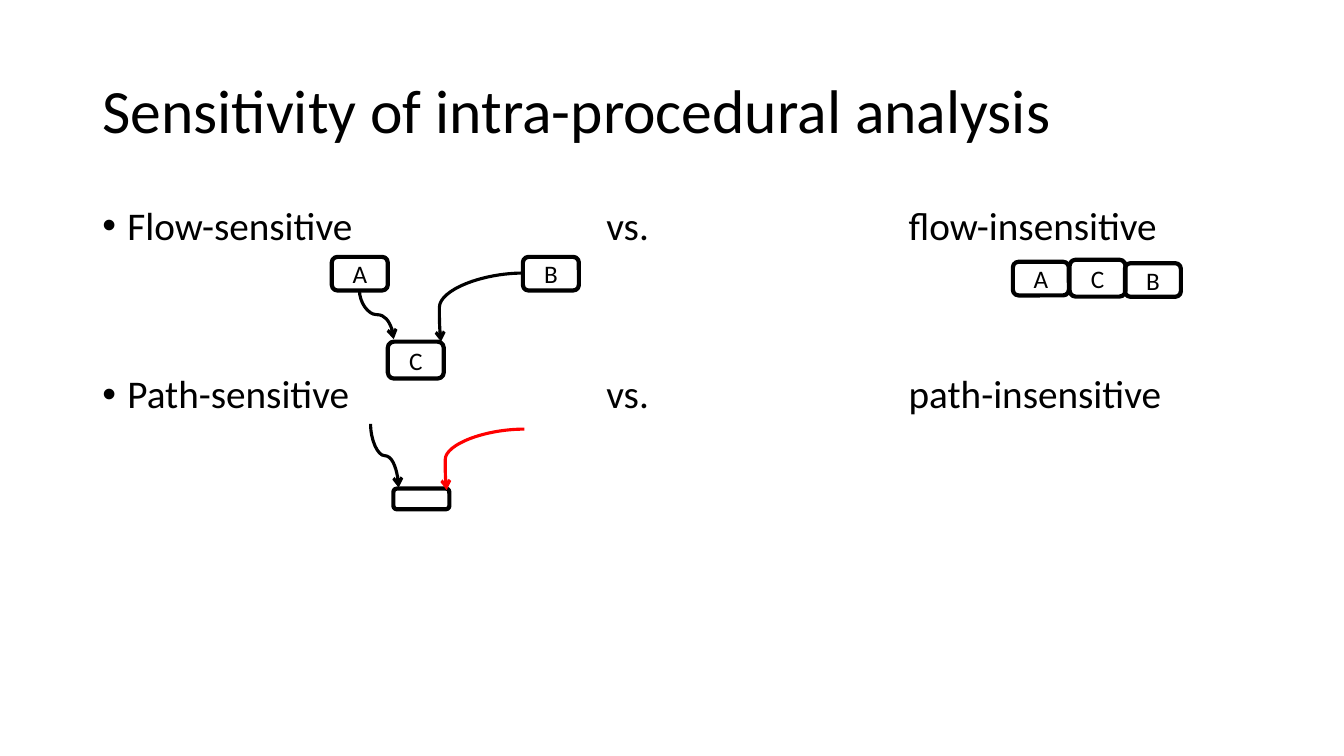
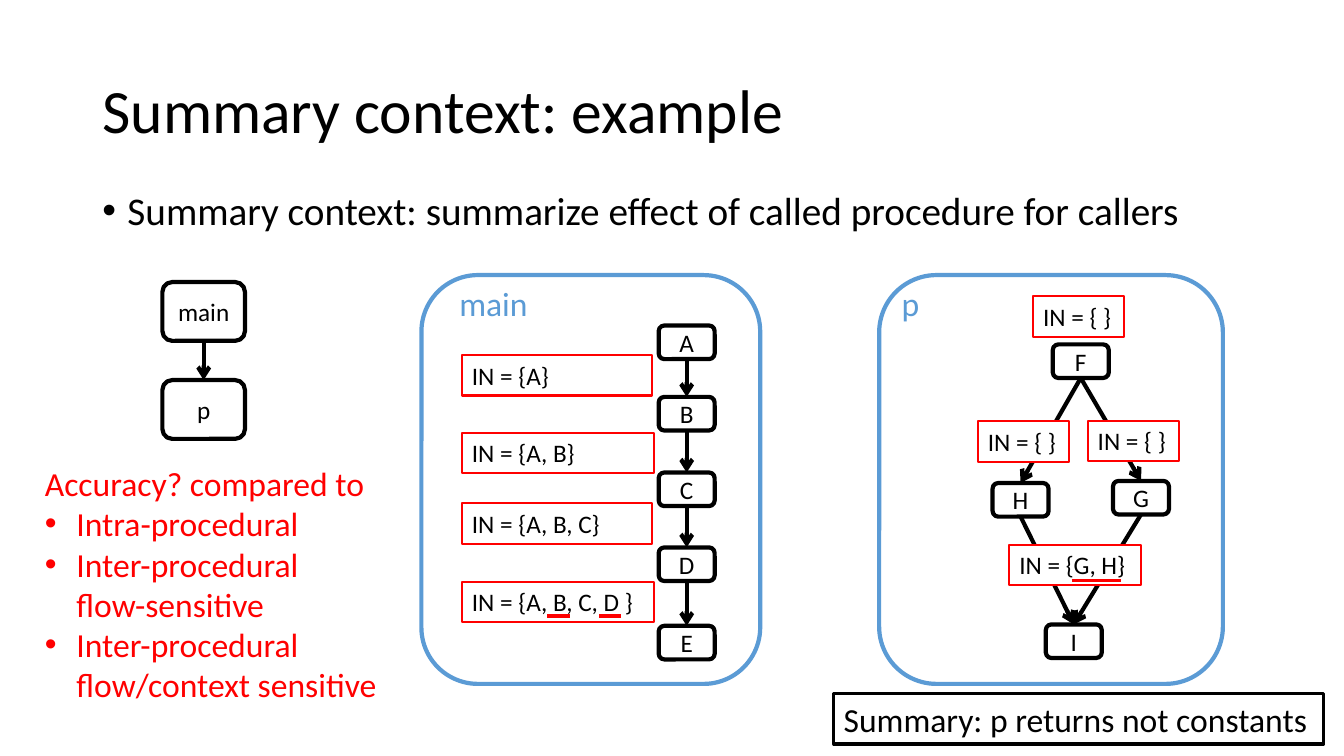
"""Build two slides on the sensitivity and the context of program analyses."""
from dataclasses import dataclass

from pptx import Presentation
from pptx.dml.color import RGBColor
from pptx.enum import shapes, text
from pptx.oxml import parse_xml
from pptx.oxml.ns import nsdecls, qn
from pptx.oxml.xmlchemy import OxmlElement
from pptx.util import Pt


@dataclass(frozen=True)
class Theme:
    font: str = "Calibri"
    black: RGBColor = RGBColor(0x00, 0x00, 0x00)
    white: RGBColor = RGBColor(0xFF, 0xFF, 0xFF)
    red: RGBColor = RGBColor(0xFF, 0x00, 0x00)
    blue: RGBColor = RGBColor(0x5B, 0x9B, 0xD5)
    title: int = 44
    body: int = 28
    note: int = 24
    label: int = 18


theme = Theme()
ROUNDED = shapes.MSO_SHAPE.ROUNDED_RECTANGLE
RECTANGLE = shapes.MSO_SHAPE.RECTANGLE
STRAIGHT = shapes.MSO_CONNECTOR.STRAIGHT
CURVE = shapes.MSO_CONNECTOR.CURVE
CENTER, LEFT = text.PP_ALIGN.CENTER, text.PP_ALIGN.LEFT
MIDDLE, TOP = text.MSO_ANCHOR.MIDDLE, text.MSO_ANCHOR.TOP


def add_text(slide, content, box, *, preset=None, fill=None, line=None, weight=3,
             size=theme.label, color=theme.black, align=LEFT, anchor=TOP, wrap=True,
             padding=3.6, bullets_from=None, hang=18, spacing=1.0, gap=0, tabs=()):
    """Add a text box or preset shape, with one paragraph per line of content."""
    place = [Pt(value) for value in box]
    if preset is None:
        shape = slide.shapes.add_textbox(*place)
    else:
        shape = slide.shapes.add_shape(preset, *place)
        shape.shadow.inherit = False
        shape.line.color.rgb = line
        shape.line.width = Pt(weight)
        if fill is None:
            shape.fill.background()
        else:
            shape.fill.solid()
            shape.fill.fore_color.rgb = fill
    frame = shape.text_frame
    frame.word_wrap = wrap
    frame.vertical_anchor = anchor
    frame.margin_top = frame.margin_bottom = Pt(padding)
    for index, words in enumerate(content.split("\n")):
        paragraph = frame.paragraphs[0] if index == 0 else frame.add_paragraph()
        paragraph.text = words
        paragraph.alignment = align
        paragraph.line_spacing = spacing
        paragraph.space_before = Pt(gap if index else 0)
        properties = paragraph._p.get_or_add_pPr()
        if bullets_from is not None and index >= bullets_from:
            properties.set("marL", str(Pt(hang)))
            properties.set("indent", str(-Pt(hang)))
            for tag, name, value in (("a:buFont", "typeface", "Arial"), ("a:buChar", "char", "•")):
                bullet = OxmlElement(tag)
                bullet.set(name, value)
                properties.append(bullet)
        if tabs:
            tab_list = OxmlElement("a:tabLst")
            for position in tabs:
                tab = OxmlElement("a:tab")
                tab.set("pos", str(Pt(position)))
                tab.set("algn", "l")
                tab_list.append(tab)
            properties.append(tab_list)
        for run in paragraph.runs:
            run.font.name = theme.font
            run.font.size = Pt(size)
            run.font.color.rgb = color
    return shape


def add_line(slide, begin, end, *, kind=STRAIGHT, color=theme.black, weight=3.0,
             arrow=True, turn=0, bend=None):
    """Add a connector between two points, or from one shape's bottom to another's top."""
    joined = not isinstance(begin, tuple)
    points = (0, 0, 0, 0) if joined else (*begin, *end)
    connector = slide.shapes.add_connector(kind, *[Pt(value) for value in points])
    if joined:
        connector.begin_connect(begin, 2)
        connector.end_connect(end, 0)
    connector.line.color.rgb = color
    connector.line.width = Pt(weight)
    properties = connector._element.spPr
    if arrow:
        head = OxmlElement("a:tailEnd")
        head.set("type", "arrow")
        connector.line._get_or_add_ln().append(head)
    if turn:
        properties.xfrm.set("rot", str(turn * 60000))
    if bend:
        guides = parse_xml(f'<a:avLst {nsdecls("a")}><a:gd name="adj1" fmla="val {bend}"/></a:avLst>')
        geometry = properties.find(qn("a:prstGeom"))
        for old in geometry.findall(qn("a:avLst")):
            geometry.remove(old)
        geometry.append(guides)
    properties.append(OxmlElement("a:effectLst"))


presentation = Presentation()
presentation.slide_width, presentation.slide_height = Pt(960), Pt(540)
title_only = presentation.slide_layouts[5]

slides = []
for heading in ("Sensitivity of intra-procedural analysis", "Summary context: example"):
    slide = presentation.slides.add_slide(title_only)
    title = slide.shapes.title
    title.left, title.top, title.width, title.height = Pt(66), Pt(28.8), Pt(828), Pt(104.4)
    title.text_frame.text = heading
    title.text_frame.vertical_anchor = MIDDLE
    paragraph = title.text_frame.paragraphs[0]
    paragraph.alignment = LEFT
    paragraph.line_spacing = 0.9
    font = paragraph.runs[0].font
    font.name, font.size, font.color.rgb = theme.font, Pt(theme.title), theme.black
    slides.append(slide)
sensitivity, summary = slides

node = dict(preset=ROUNDED, line=theme.black, align=CENTER, anchor=MIDDLE, padding=0)
body = dict(size=theme.body, bullets_from=0, spacing=0.9)
NODE_WIDTH, NODE_HEIGHT = 40, 24

add_text(sensitivity, "Flow-sensitive\tvs.\tflow-insensitive\nPath-sensitive\tvs.\tpath-insensitive",
         (66, 144, 828, 342.7), gap=90, tabs=(360, 576), **body)
for name, left, top, height in (
    ("C", 277, 244, 26.4), ("", 281, 349, 14.8),
    ("A", 237, 183.5, NODE_HEIGHT), ("B", 373.5, 183.5, NODE_HEIGHT),
    ("C", 764, 185.5, 26.4), ("A", 723.5, 187, NODE_HEIGHT), ("B", 803.5, 188, NODE_HEIGHT),
):
    add_text(sensitivity, name, (left, top, NODE_WIDTH, height), **node)
for begin, end, turn, bend, color in (
    ((286.5, 212.5), (251.5, 237), 270, None, theme.black),
    ((315, 244), (374, 195), 180, 102000, theme.black),
    ((297.5, 315.5), (252, 335.5), 270, None, theme.black),
    ((319, 350), (374.5, 306.5), 180, 101800, theme.red),
):
    add_line(sensitivity, begin, end, kind=CURVE, color=color, weight=2.25, turn=turn, bend=bend)

add_text(summary, "Summary context: summarize effect of called procedure for callers",
         (66, 133.2, 828, 49.7), **body)

for name, left, width, label_left in (("main", 301, 242, 321), ("p", 628, 245.5, 637)):
    add_text(summary, "", (left, 196.5, width, 292), preset=ROUNDED, line=theme.blue)
    add_text(summary, name, (label_left, 198.5, 70, 36), size=theme.note, color=theme.blue)

nodes = {}
for name, left, top in (
    ("A", 470.5, 232.5), ("B", 470.5, 283.5), ("C", 470.5, 337.5), ("D", 470.5, 391),
    ("E", 470.5, 447), ("F", 752, 246), ("G", 795, 343.5), ("H", 709, 345), ("I", 747, 446),
):
    nodes[name] = add_text(summary, name, (left, top, NODE_WIDTH, NODE_HEIGHT), **node)
for name, top in (("main", 201.5), ("p", 271.5)):
    nodes[name] = add_text(summary, name, (116, top, 59, 42), **node)
for begin, end in ("AB", "BC", "CD", "DE", "FG", "FH", "HI", "GI", ("main", "p")):
    add_line(summary, nodes[begin], nodes[end])

for content, left, top, width in (
    ("IN = {A}", 330, 253.5, 136), ("IN = {A, B}", 330, 309, 137),
    ("IN = {A, B, C}", 330, 359.5, 136), ("IN = {A, B, C, D }", 330, 415.5, 137),
    ("IN = { }", 738, 211.5, 65), ("IN = { }", 698.5, 301, 65),
    ("IN = { }", 777, 300.5, 65), ("IN = {G, H}", 721, 389, 94),
):
    add_text(summary, content, (left, top, width, 29), preset=RECTANGLE,
             fill=theme.white, line=theme.red, weight=1.5)
for left, right, height in ((391, 407, 440), (428, 443.5, 440), (765.5, 801, 414.5)):
    add_line(summary, (left, height), (right, height), color=theme.red, weight=2.25, arrow=False)

add_text(summary, "Summary: p returns not constants", (595.5, 495.5, 350, 36),
         preset=RECTANGLE, line=theme.black, weight=2.25, size=theme.note, wrap=False)
add_text(summary, "Accuracy? compared to\nIntra-procedural\nInter-procedural \vflow-sensitive\n"
         "Inter-procedural \vflow/context sensitive", (25, 327, 263, 181.5),
         size=theme.note, color=theme.red, bullets_from=1, hang=22.5)

presentation.save("out.pptx")
